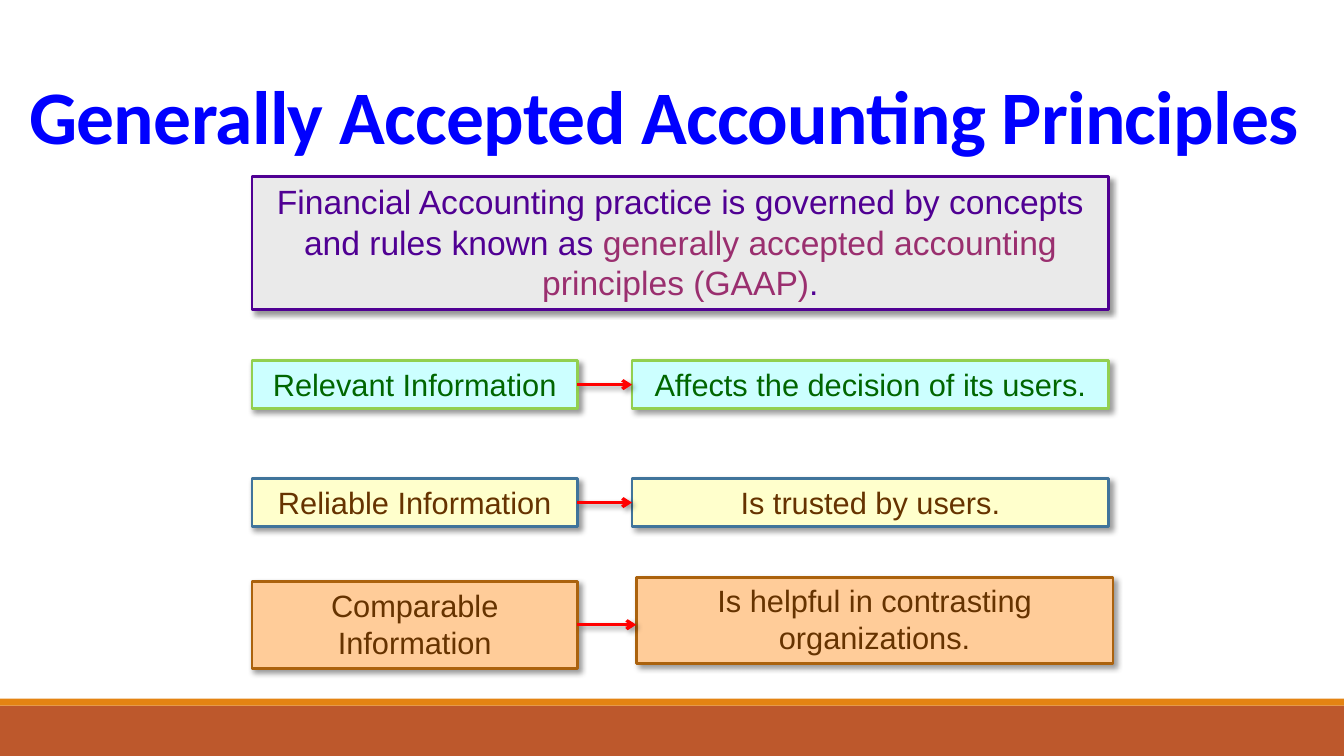
from lxml.etree import SubElement
from pptx import Presentation
from pptx.dml.color import RGBColor
from pptx.enum.shapes import MSO_CONNECTOR, MSO_SHAPE
from pptx.enum.text import MSO_ANCHOR, MSO_AUTO_SIZE, PP_ALIGN
from pptx.oxml.ns import qn
from pptx.util import Pt

BLUE = RGBColor(0x00, 0x00, 0xFF)
RED = RGBColor(0xFF, 0x00, 0x00)
RUST = RGBColor(0xBD, 0x58, 0x2C)
ORANGE = RGBColor(0xE4, 0x83, 0x12)
GREY = RGBColor(0xEA, 0xEA, 0xEA)
PURPLE = RGBColor(0x50, 0x00, 0x93)
PLUM = RGBColor(0x9A, 0x2F, 0x6F)
AQUA = RGBColor(0xCC, 0xFF, 0xFF)
LIME = RGBColor(0x92, 0xD0, 0x50)
GREEN = RGBColor(0x00, 0x66, 0x00)
CREAM = RGBColor(0xFF, 0xFF, 0xCC)
STEEL = RGBColor(0x40, 0x74, 0x9B)
BROWN = RGBColor(0x66, 0x33, 0x00)
PEACH = RGBColor(0xFF, 0xCC, 0x99)
OCHRE = RGBColor(0xAB, 0x62, 0x0D)

LEFT, WIDTH = 180, 612
TERM_WIDTH, MEANING_WIDTH = 232.5, 340.5
QUALITIES = [
    ("Relevant Information", "Affects the decision of its users.",
     (257.75, 257.75), 0, 34, AQUA, LIME, GREEN),
    ("Reliable Information", "Is trusted by users.",
     (342, 342), 0, 34, CREAM, STEEL, BROWN),
    ("Comparable Information", "Is helpful in contrasting organizations.",
     (415.25, 412.25), 3, 62, PEACH, OCHRE, BROWN),
]


def add_span(para, text, *, size, color, font="Arial", bold=False, spacing=None):
    """Append formatted text to a paragraph."""
    span = para.add_run()
    span.text = text
    span.font.name = font
    span.font.size = Pt(size)
    span.font.bold = bold
    span.font.color.rgb = color
    if spacing is not None:
        span.font._element.set("spc", str(round(spacing * 100)))


def add_shadow(properties):
    """Give shape properties a soft shadow towards the lower right."""
    effects = properties.find(qn("a:effectLst"))
    if effects is None:
        effects = SubElement(properties, qn("a:effectLst"))
    shadow = SubElement(effects, qn("a:outerShdw"), blurRad=str(Pt(4)),
                        dist=str(Pt(3)), dir="2700000", algn="tl", rotWithShape="0")
    color = SubElement(shadow, qn("a:srgbClr"), val="000000")
    SubElement(color, qn("a:alpha"), val="40000")


def add_rectangle(page, box, fill):
    """Draw a plain filled rectangle."""
    rectangle = page.shapes.add_shape(MSO_SHAPE.RECTANGLE, *map(Pt, box))
    rectangle.shadow.inherit = False
    rectangle.fill.solid()
    rectangle.fill.fore_color.rgb = fill
    rectangle.line.fill.background()
    return rectangle


def add_card(page, box, spans, *, fill, border, size):
    """Draw a bordered, shadowed card with centred text."""
    card = add_rectangle(page, box, fill)
    card.line.color.rgb = border
    card.line.width = Pt(2)
    add_shadow(card._element.spPr)
    frame = card.text_frame
    frame.word_wrap = True
    frame.auto_size = MSO_AUTO_SIZE.SHAPE_TO_FIT_TEXT
    frame.vertical_anchor = MSO_ANCHOR.TOP
    para = frame.paragraphs[0]
    para.alignment = PP_ALIGN.CENTER
    for text, color in spans:
        add_span(para, text, size=size, color=color)
    return card


def add_arrow(page, term, meaning):
    """Point a red arrow from a term to its meaning."""
    middle = term.top + term.height // 2
    arrow = page.shapes.add_connector(
        MSO_CONNECTOR.STRAIGHT, term.left + term.width, middle, meaning.left, middle)
    arrow.begin_connect(term, 3)
    if term.top == meaning.top:
        arrow.end_connect(meaning, 1)
    arrow.line.color.rgb = RED
    arrow.line.width = Pt(2.25)
    properties = arrow._element.spPr
    SubElement(properties.find(qn("a:ln")), qn("a:tailEnd"), type="arrow")
    add_shadow(properties)


def add_footer(page, box):
    """Draw the footer band with its thin stripe on top."""
    left, top, width, height = box
    stripe = 5
    add_rectangle(page, (left, top + stripe, width, height - stripe), RUST)
    add_rectangle(page, (left, top, width, stripe), ORANGE)


def add_title(page, box):
    """Write the slide title."""
    frame = page.shapes.add_textbox(*map(Pt, box)).text_frame
    frame.word_wrap = True
    frame.vertical_anchor = MSO_ANCHOR.MIDDLE
    para = frame.paragraphs[0]
    para.line_spacing = 2.2
    add_span(para, "Generally Accepted Accounting Principles", size=54,
             color=BLUE, font="Calibri", bold=True, spacing=-0.5)


def add_definition(page, box):
    """Write the definition of the principles."""
    add_card(page, box, [
        ("Financial Accounting practice is governed by concepts and rules known as ", PURPLE),
        ("generally accepted accounting principles (GAAP)", PLUM),
        (".", PURPLE),
    ], fill=GREY, border=PURPLE, size=24)


def add_quality(page, left, right, quality):
    """Draw a term, its meaning and the arrow between them."""
    name, effect, tops, shift, height, fill, border, color = quality
    style = dict(fill=fill, border=border, size=22)
    term = add_card(page, (left, tops[0], TERM_WIDTH, height), [(name, color)], **style)
    meaning = add_card(page, (right - MEANING_WIDTH + shift, tops[1], MEANING_WIDTH, height),
                       [(effect, color)], **style)
    add_arrow(page, term, meaning)


def main():
    """Build and save the deck."""
    deck = Presentation()
    deck.slide_width, deck.slide_height = Pt(960), Pt(540)
    page = deck.slides.add_slide(deck.slide_layouts[6])
    add_footer(page, (0, 499, 960, 41))
    add_definition(page, (LEFT, 126, WIDTH, 95))
    add_title(page, (13.75, -2, 928, 90))
    for quality in QUALITIES:
        add_quality(page, LEFT, LEFT + WIDTH, quality)
    deck.save("out.pptx")


if __name__ == "__main__":
    main()
